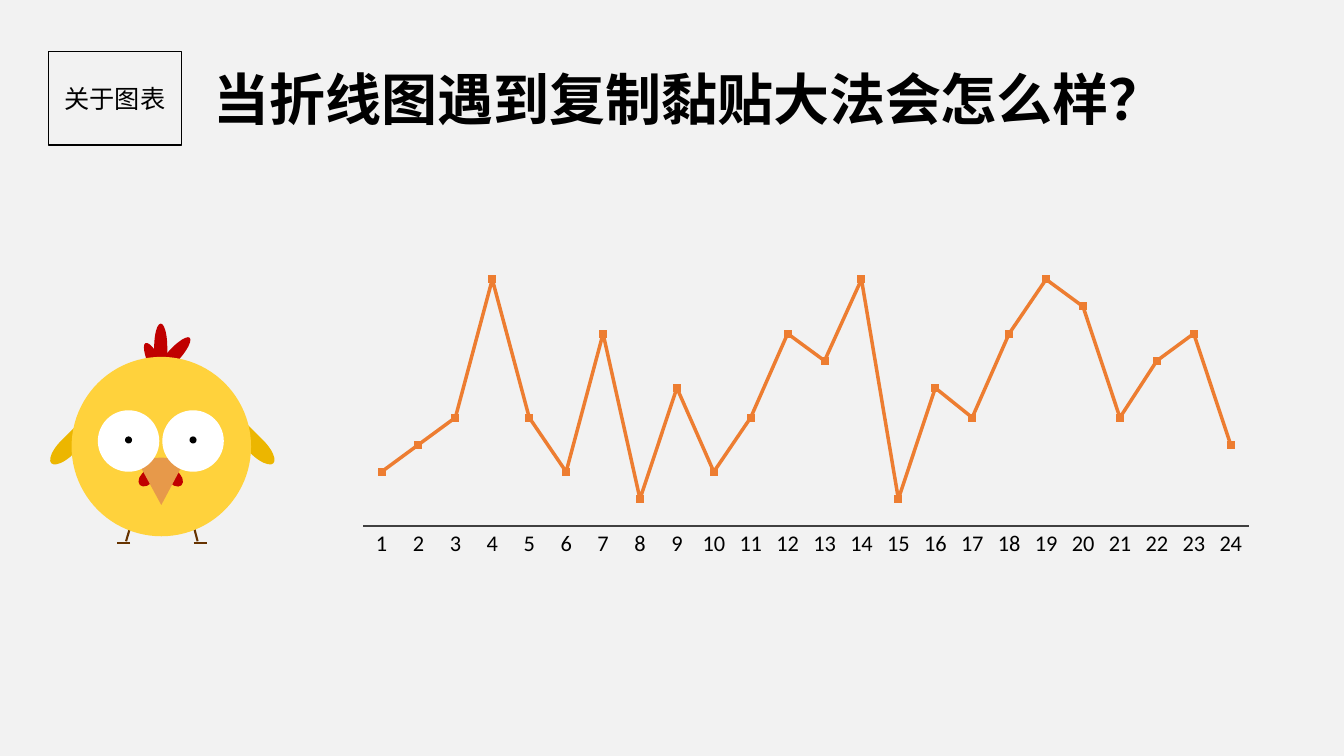
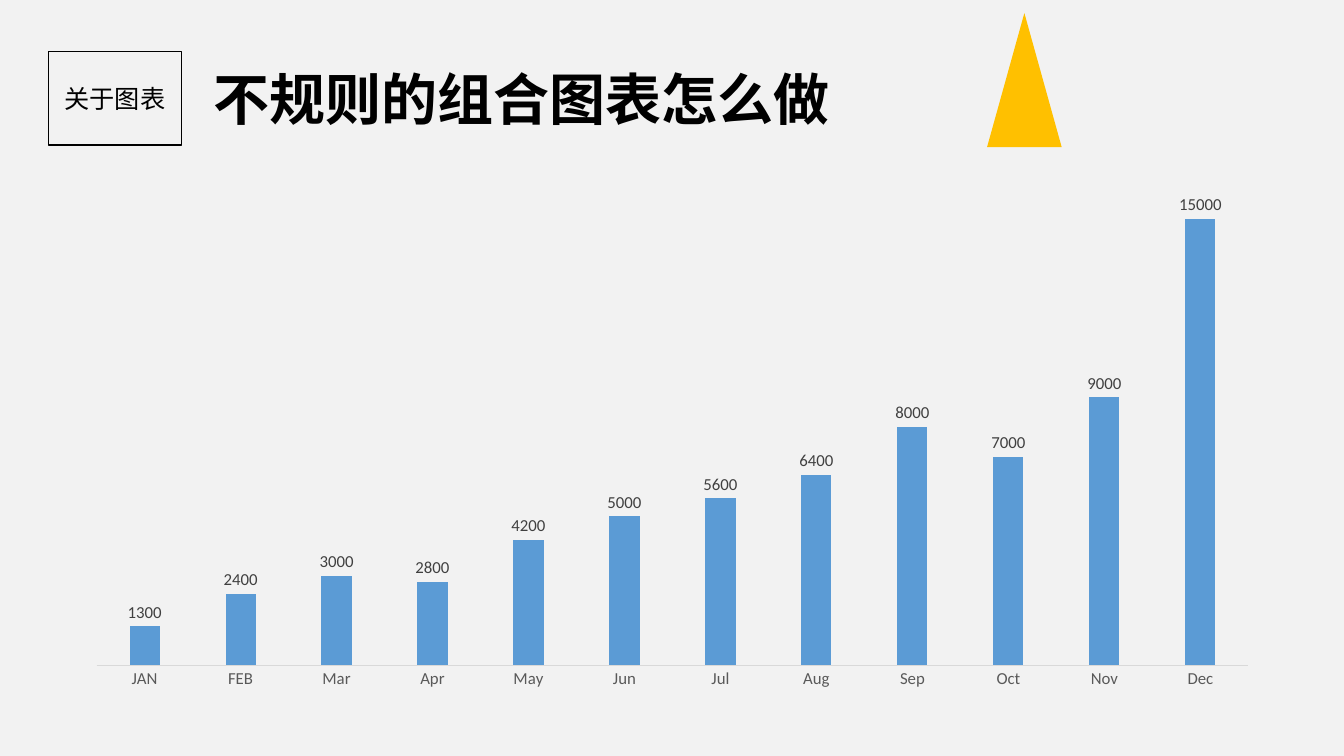
"""Build two slides about charts: a line chart with a chick, and a column chart with a triangle."""
from dataclasses import dataclass
from typing import Any

from lxml import etree
from pptx import Presentation
from pptx.chart.data import CategoryChartData
from pptx.dml.color import RGBColor
from pptx.enum.chart import XL_CHART_TYPE, XL_LABEL_POSITION, XL_MARKER_STYLE, XL_TICK_MARK
from pptx.enum.shapes import MSO_CONNECTOR, MSO_SHAPE
from pptx.enum.text import MSO_ANCHOR, MSO_AUTO_SIZE, PP_ALIGN
from pptx.oxml import parse_xml
from pptx.oxml.ns import nsdecls, qn
from pptx.util import Inches, Pt

LINE_CHART = XL_CHART_TYPE.LINE_MARKERS_STACKED
COLUMN_CHART = XL_CHART_TYPE.COLUMN_CLUSTERED
LABEL_OUTSIDE = XL_LABEL_POSITION.OUTSIDE_END
SQUARE_MARKER = XL_MARKER_STYLE.SQUARE
NO_TICK = XL_TICK_MARK.NONE
STRAIGHT = MSO_CONNECTOR.STRAIGHT
RECTANGLE = MSO_SHAPE.RECTANGLE
TRIANGLE = MSO_SHAPE.ISOSCELES_TRIANGLE
OVAL = MSO_SHAPE.OVAL
PETAL = MSO_SHAPE.FLOWCHART_DELAY
WEDGE = MSO_SHAPE.PIE
MIDDLE = MSO_ANCHOR.MIDDLE
FIT_SHAPE = MSO_AUTO_SIZE.SHAPE_TO_FIT_TEXT
CENTER = PP_ALIGN.CENTER

BLACK = RGBColor(0x00, 0x00, 0x00)
WHITE = RGBColor(0xFF, 0xFF, 0xFF)
BACKDROP = RGBColor(0xF2, 0xF2, 0xF2)
ORANGE = RGBColor(0xED, 0x7D, 0x31)
BLUE = RGBColor(0x5B, 0x9B, 0xD5)
GOLD = RGBColor(0xFF, 0xC0, 0x00)
DARK_GRAY = RGBColor(0x40, 0x40, 0x40)
MID_GRAY = RGBColor(0x59, 0x59, 0x59)
LIGHT_GRAY = RGBColor(0xD9, 0xD9, 0xD9)
BROWN = RGBColor(0x66, 0x33, 0x00)
WING_YELLOW = RGBColor(0xEC, 0xB6, 0x00)
BODY_YELLOW = RGBColor(0xFF, 0xD2, 0x3C)
COMB_RED = RGBColor(0xC0, 0x00, 0x00)
BEAK_ORANGE = RGBColor(0xE7, 0x99, 0x4A)

TEXT_FONT = "Noto Sans CJK SC"
CHART_FONT = "Calibri"
TITLE_FORMAT = {"name": TEXT_FONT, "size": Pt(40), "bold": True}
TAG_FORMAT = {"name": TEXT_FONT, "size": Pt(18)}
FRAME_FORMAT = {"word_wrap": False, "vertical_anchor": MIDDLE}

MONTHS = ["JAN", "FEB", "Mar", "Apr", "May", "Jun", "Jul", "Aug", "Sep", "Oct", "Nov", "Dec"]
MONTHLY = [1300, 2400, 3000, 2800, 4200, 5000, 5600, 6400, 8000, 7000, 9000, 15000]
READINGS = [22, 33, 44, 100, 44, 22, 78, 11, 56, 22, 44, 78,
            67, 100, 11, 56, 44, 78, 100, 89, 44, 67, 78, 33]


@dataclass(frozen=True)
class Box:
    left: float
    top: float
    width: float
    height: float

    def lengths(self) -> list[int]:
        return [Inches(v) for v in (self.left, self.top, self.width, self.height)]


@dataclass(frozen=True)
class Part:
    kind: Any
    box: Box
    color: RGBColor
    rotation: float = 0
    flip: str = ""
    angles: tuple[float, ...] = ()


@dataclass(frozen=True)
class Leg:
    start: tuple[float, float]
    end: tuple[float, float]


@dataclass(frozen=True)
class ChartPlan:
    kind: Any
    box: Box
    categories: list[str]
    values: list[int]
    axis_size: float
    axis_text: RGBColor
    axis_line: RGBColor
    axis_weight: float


LEGS = [
    Leg((1.89, 5.1), (1.96, 5.37)),
    Leg((1.92, 5.39), (2.05, 5.39)),
    Leg((1.33, 5.1), (1.25, 5.37)),
    Leg((1.29, 5.39), (1.16, 5.39)),
]
EYES = [
    part
    for left in (0.97, 1.61)
    for part in (Part(OVAL, Box(left, 4.07, 0.61, 0.61), WHITE),
                 Part(OVAL, Box(left + 0.27, 4.33, 0.07, 0.07), BLACK))
]
CHICK = [
    Part(PETAL, Box(0.44, 4.34, 0.47, 0.18), WING_YELLOW, 315, "flipH"),
    Part(PETAL, Box(2.31, 4.34, 0.47, 0.18), WING_YELLOW, 45, "flipV"),
    Part(PETAL, Box(1.36, 3.38, 0.47, 0.13), COMB_RED, 90, "flipH"),
    Part(PETAL, Box(1.49, 3.46, 0.47, 0.13), COMB_RED, 132, "flipH"),
    Part(PETAL, Box(1.31, 3.55, 0.47, 0.13), COMB_RED, 64.3, "flipH"),
    Part(OVAL, Box(0.71, 3.54, 1.78, 1.78), BODY_YELLOW),
    Part(PETAL, Box(1.64, 4.68, 0.19, 0.13), COMB_RED, 227.1, "flipH"),
    Part(PETAL, Box(1.36, 4.68, 0.19, 0.13), COMB_RED, 315, "flipH"),
    Part(WEDGE, Box(1.13, 4.54, 0.94, 0.94), BEAK_ORANGE, angles=(241.51, 297.99)),
    *EYES,
]
TREND = ChartPlan(LINE_CHART, Box(2.97, 2.37, 9.43, 3.59), [str(n) for n in range(1, 25)],
                  READINGS, 16, BLACK, DARK_GRAY, 1.5)
SALES = ChartPlan(COLUMN_CHART, Box(0.72, 1.77, 11.9, 5.17), MONTHS,
                  MONTHLY, 12, MID_GRAY, LIGHT_GRAY, 0.75)


def apply_format(target: Any, values: dict[str, Any]) -> None:
    for attribute, value in values.items():
        setattr(target, attribute, value)


def style_font(font: Any, values: dict[str, Any], color: RGBColor) -> None:
    apply_format(font, values)
    font.color.rgb = color


def write_text(frame: Any, text: str, values: dict[str, Any]) -> None:
    apply_format(frame, FRAME_FORMAT)
    run = frame.paragraphs[0].add_run()
    run.text = text
    style_font(run.font, values, BLACK)
    east_asian = etree.SubElement(run.font._element, qn("a:ea"))
    east_asian.set("typeface", TEXT_FONT)


def add_part(shapes: Any, part: Part) -> None:
    shape = shapes.add_shape(part.kind, *part.box.lengths())
    shape.shadow.inherit = False
    shape.fill.solid()
    shape.fill.fore_color.rgb = part.color
    shape.line.fill.background()
    shape.rotation = part.rotation
    if part.flip:
        shape.element.spPr.get_or_add_xfrm().set(part.flip, "1")
    for index, angle in enumerate(part.angles):
        shape.adjustments[index] = angle * 0.6


def add_leg(shapes: Any, leg: Leg) -> None:
    points = [Inches(v) for v in (*leg.start, *leg.end)]
    connector = shapes.add_connector(STRAIGHT, *points)
    connector.line.color.rgb = BROWN
    connector.line.width = Pt(1.5)
    etree.SubElement(connector.element.spPr, qn("a:effectLst"))


def add_chick(slide: Any) -> None:
    group = slide.shapes.add_group_shape()
    for leg in LEGS:
        add_leg(group.shapes, leg)
    for part in CHICK:
        add_part(group.shapes, part)


def add_titled_slide(deck: Any, title: str, title_width: float) -> Any:
    slide = deck.slides.add_slide(deck.slide_layouts[6])
    heading = slide.shapes.add_textbox(*Box(2.02, 0.59, title_width, 0.77).lengths())
    write_text(heading.text_frame, title, TITLE_FORMAT)
    heading.text_frame.auto_size = FIT_SHAPE
    tag = slide.shapes.add_shape(RECTANGLE, *Box(0.48, 0.51, 1.32, 0.93).lengths())
    tag.shadow.inherit = False
    tag.fill.background()
    tag.line.color.rgb = BLACK
    tag.line.width = Pt(1)
    write_text(tag.text_frame, "关于图表", TAG_FORMAT)
    tag.text_frame.paragraphs[0].alignment = CENTER
    return slide


def add_plain_chart(slide: Any, plan: ChartPlan) -> Any:
    data = CategoryChartData()
    data.categories = plan.categories
    data.add_series("Series 1", plan.values)
    chart = slide.shapes.add_chart(plan.kind, *plan.box.lengths(), data).chart
    apply_format(chart, {"has_title": False, "has_legend": False})
    style_font(chart.font, {"name": CHART_FONT, "size": Pt(10)}, BLACK)
    apply_format(chart.value_axis, {"visible": False, "has_major_gridlines": False,
                                    "minimum_scale": 0})
    axis = chart.category_axis
    apply_format(axis, {"major_tick_mark": NO_TICK, "minor_tick_mark": NO_TICK})
    style_font(axis.tick_labels.font, {"name": CHART_FONT, "size": Pt(plan.axis_size)},
               plan.axis_text)
    axis.format.line.color.rgb = plan.axis_line
    axis.format.line.width = Pt(plan.axis_weight)
    chart.plots[0].vary_by_categories = False
    return chart


def place_plot(chart: Any, left: float, top: float, width: float, height: float) -> None:
    plot_area = chart.element.chart.plotArea
    for old_layout in plot_area.findall(qn("c:layout")):
        plot_area.remove(old_layout)
    plot_area.insert(0, parse_xml(
        f'<c:layout {nsdecls("c")}><c:manualLayout><c:layoutTarget val="inner"/>'
        f'<c:xMode val="edge"/><c:yMode val="edge"/><c:x val="{left}"/><c:y val="{top}"/>'
        f'<c:w val="{width}"/><c:h val="{height}"/></c:manualLayout></c:layout>'))


def add_trend_chart(slide: Any) -> None:
    chart = add_plain_chart(slide, TREND)
    apply_format(chart.value_axis, {"maximum_scale": 111, "major_unit": 11})
    place_plot(chart, 0.067, 0.037, 0.933, 0.757)
    trend = chart.plots[0].series[0]
    trend.smooth = False
    trend.format.line.color.rgb = ORANGE
    trend.format.line.width = Pt(2.5)
    apply_format(trend.marker, {"style": SQUARE_MARKER, "size": 5})
    trend.marker.format.fill.solid()
    trend.marker.format.fill.fore_color.rgb = ORANGE
    trend.marker.format.line.color.rgb = ORANGE


def add_sales_chart(slide: Any) -> None:
    chart = add_plain_chart(slide, SALES)
    chart.value_axis.maximum_scale = 16000
    plot = chart.plots[0]
    apply_format(plot, {"gap_width": 219, "overlap": -27, "has_data_labels": True})
    columns = plot.series[0]
    columns.format.fill.solid()
    columns.format.fill.fore_color.rgb = BLUE
    apply_format(plot.data_labels, {"show_value": True, "position": LABEL_OUTSIDE})
    style_font(plot.data_labels.font, {"name": CHART_FONT, "size": Pt(12)}, DARK_GRAY)


def main() -> None:
    deck = Presentation()
    apply_format(deck, {"slide_width": Inches(13.33), "slide_height": Inches(7.5)})
    backdrop = deck.slide_master.background.fill
    backdrop.solid()
    backdrop.fore_color.rgb = BACKDROP

    trend_slide = add_titled_slide(deck, "当折线图遇到复制黏贴大法会怎么样？", 9.74)
    add_trend_chart(trend_slide)
    add_chick(trend_slide)

    sales_slide = add_titled_slide(deck, "不规则的组合图表怎么做", 6.37)
    add_sales_chart(sales_slide)
    add_part(sales_slide.shapes, Part(TRIANGLE, Box(9.79, 0.13, 0.74, 1.33), GOLD))

    deck.save("out.pptx")


if __name__ == "__main__":
    main()
